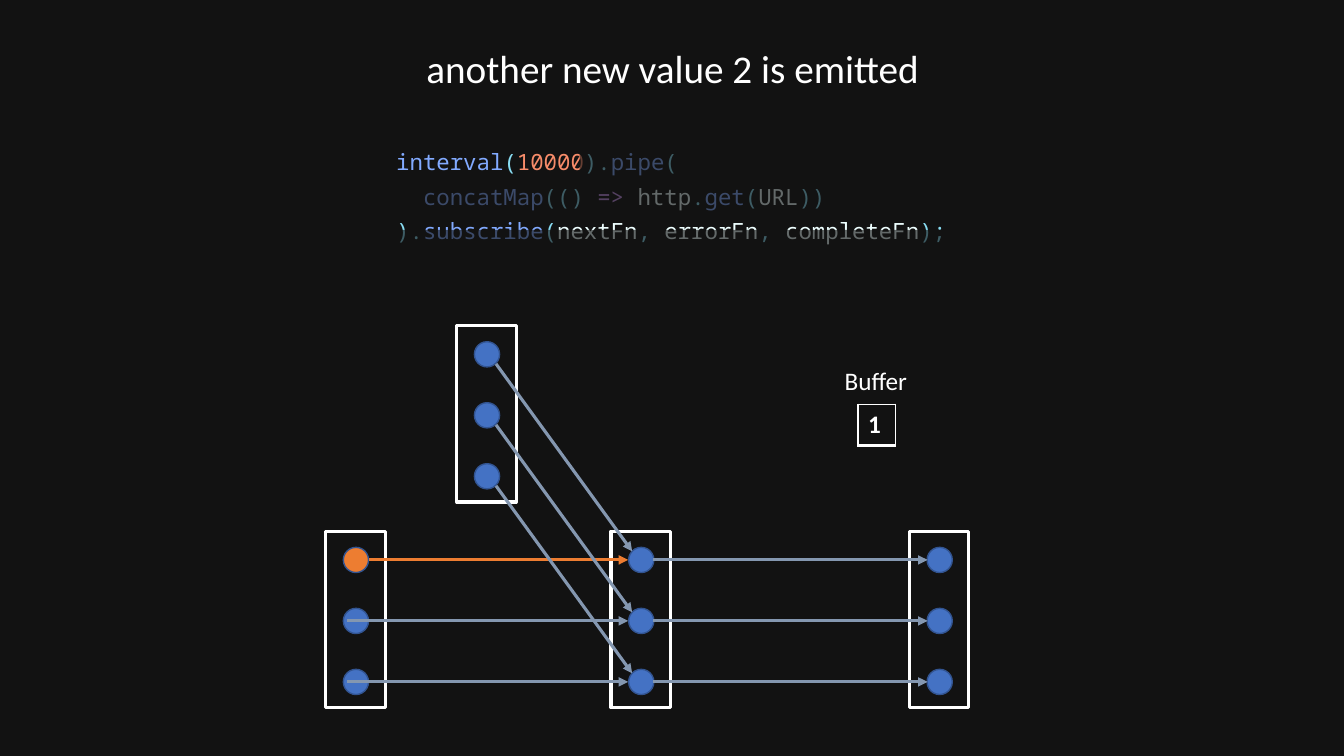
import pptx
import pptx.dml.color
import pptx.enum.shapes
import pptx.enum.text
import pptx.oxml
import pptx.oxml.ns
import pptx.util
from pptx.util import Inches

BACKGROUND = "121212"
WHITE = "FFFFFF"
BLUE = "4472C4"
ORANGE = "ED7D31"
ARROW = "8497B0"
CALL, MARK, NUMBER, KEYWORD, NAME = "82AAFF", "89DDF3", "F78C6A", "C792EA", "EEFFFF"
CODE = [
    [("interval", CALL), ("(", MARK), ("10000", NUMBER), (").", MARK), ("pipe", CALL), ("(", MARK)],
    [("  ", NAME), ("concatMap", CALL), ("(() ", MARK), ("=>", KEYWORD), (" http", NAME),
     (".", MARK), ("get", CALL), ("(", MARK), ("URL", NAME), ("))", MARK)],
    [(").", MARK), ("subscribe", CALL), ("(", MARK), ("nextFn", NAME), (",", MARK),
     (" errorFn", NAME), (",", MARK), (" completeFn", NAME), (");", MARK)],
]
DOT_SIZE = 0.25
DOT_STEP = 0.605
LOWER_TOP = 5.27
UPPER_TOP = 3.23
VEILS = [(3.5, 2.28), (3.42, 1.84), (5.75, 1.49)]


def color(value):
    """Turn a hex string into a colour."""
    return pptx.dml.color.RGBColor.from_string(value)


def paint(target, value):
    """Give a shape or background a solid fill."""
    target.fill.solid()
    target.fill.fore_color.rgb = color(value)


def add_child(parent, xml):
    """Append a DrawingML element written as text."""
    namespace = pptx.oxml.ns.nsdecls("a")
    parent.append(pptx.oxml.parse_xml(xml.replace(" ", f" {namespace} ", 1)))


def add_run(para, text, size, value, font="Calibri", bold=False):
    """Add a formatted run to a paragraph."""
    span = para.add_run()
    span.text = text
    span.font.size = pptx.util.Pt(size)
    span.font.name = font
    span.font.bold = bold
    span.font.color.rgb = color(value)


def place(shape, left, top, width, height):
    """Move and size a shape in inches."""
    shape.left, shape.top = Inches(left), Inches(top)
    shape.width, shape.height = Inches(width), Inches(height)


def write_title(page):
    """Fill the title placeholder."""
    title = page.shapes.title
    place(title, 0.92, 0.3, 11.5, 0.8)
    title.text_frame.vertical_anchor = pptx.enum.text.MSO_ANCHOR.MIDDLE
    para = title.text_frame.paragraphs[0]
    para.alignment = pptx.enum.text.PP_ALIGN.CENTER
    para.line_spacing = 0.9
    add_run(para, "another new value 2 is emitted", 28, WHITE)


def write_code(page):
    """Fill the body placeholder with highlighted code."""
    body = page.placeholders[1]
    place(body, 3.83, 1.45, 5.67, 1.12)
    frame = body.text_frame
    frame.auto_size = pptx.enum.text.MSO_AUTO_SIZE.NONE
    for index, tokens in enumerate(CODE):
        para = frame.add_paragraph() if index else frame.paragraphs[0]
        para.line_spacing = 0.9
        para.space_before = pptx.util.Pt(7.5)
        properties = para._p.get_or_add_pPr()
        properties.set("marL", "0")
        properties.set("indent", "0")
        add_child(properties, "<a:buNone />")
        for text, value in tokens:
            add_run(para, text, 16, value, "Noto Sans Mono")


def add_shape(page, kind, left, top, width, height, fill=None, line=None, weight=1):
    """Add a preset shape with optional fill and outline."""
    shape = page.shapes.add_shape(kind, Inches(left), Inches(top), Inches(width), Inches(height))
    shape.shadow.inherit = False
    if fill:
        paint(shape, fill)
    else:
        shape.fill.background()
    if line:
        shape.line.color.rgb = color(line)
        shape.line.width = pptx.util.Pt(weight)
    else:
        shape.line.fill.background()
    return shape


def add_stream(page, left, top, dot_fills):
    """Draw a frame holding a column of dots."""
    kinds = pptx.enum.shapes.MSO_SHAPE
    add_shape(page, kinds.RECTANGLE, left, top, 0.59, 1.75, line=WHITE, weight=2.25)
    for index, fill in enumerate(dot_fills):
        dot_top = top + 0.16 + index * DOT_STEP
        add_shape(page, kinds.OVAL, left + 0.175, dot_top, DOT_SIZE, DOT_SIZE, fill, "325491")


def add_arrow(page, start, end, value=ARROW):
    """Draw a straight arrow between two points."""
    straight = pptx.enum.shapes.MSO_CONNECTOR.STRAIGHT
    points = [Inches(number) for number in (*start, *end)]
    arrow = page.shapes.add_connector(straight, *points)
    arrow.line.color.rgb = color(value)
    arrow.line.width = pptx.util.Pt(2.25)
    add_child(arrow.line._get_or_add_ln(), '<a:tailEnd type="triangle"/>')
    add_child(arrow._element.spPr, "<a:effectLst />")


def add_veil(page, left, top):
    """Dim part of the code with a translucent band."""
    veil = add_shape(page, pptx.enum.shapes.MSO_SHAPE.RECTANGLE, left, top, 6, 0.3, BACKGROUND)
    fill = veil._element.spPr.find(pptx.oxml.ns.qn("a:solidFill"))
    add_child(fill[0], '<a:alpha val="63000"/>')


def add_buffer(page):
    """Add the buffer label and its one-cell table."""
    frame = page.shapes.add_table(1, 1, Inches(8.51), Inches(4.01), Inches(0.37), Inches(0.41))
    table = frame.table
    table.first_row = table.horz_banding = False
    cell = table.cell(0, 0)
    properties = cell._tc.get_or_add_tcPr()
    for side, weight in (("L", 1), ("R", 1), ("T", 1), ("B", 3)):
        add_child(properties, f'<a:ln{side} w="{pptx.util.Pt(weight)}"><a:solidFill>'
                              f'<a:srgbClr val="{WHITE}"/></a:solidFill></a:ln{side}>')
    cell.fill.background()
    add_run(cell.text_frame.paragraphs[0], "1", 18, WHITE, bold=True)
    box = page.shapes.add_textbox(Inches(8.28), Inches(3.58), Inches(0.83), Inches(0.4))
    box.text_frame.word_wrap = False
    box.text_frame.auto_size = pptx.enum.text.MSO_AUTO_SIZE.SHAPE_TO_FIT_TEXT
    add_run(box.text_frame.paragraphs[0], "Buffer", 18, WHITE)


def main():
    """Build the slide and save it."""
    deck = pptx.Presentation()
    deck.slide_width, deck.slide_height = Inches(13.33), Inches(7.5)
    page = deck.slides.add_slide(deck.slide_layouts[1])
    paint(page.background, BACKGROUND)
    write_title(page)
    write_code(page)
    add_stream(page, 3.23, LOWER_TOP, [ORANGE, BLUE, BLUE])
    for left in (9.02, 6.06):
        add_stream(page, left, LOWER_TOP, [BLUE] * 3)
    for index, (start, value) in enumerate([(3.66, ORANGE), (3.44, ARROW), (3.44, ARROW)]):
        height = 5.555 + index * DOT_STEP
        add_arrow(page, (start, height), (6.23, height), value)
        add_arrow(page, (6.48, height), (9.2, height))
    for left, top in VEILS:
        add_veil(page, left, top)
    add_stream(page, 4.53, UPPER_TOP, [BLUE] * 3)
    for index in range(3):
        drop = index * DOT_STEP
        add_arrow(page, (4.92, 3.61 + drop), (6.27, 5.47 + drop))
    add_buffer(page)
    deck.save("out.pptx")


if __name__ == "__main__":
    main()
